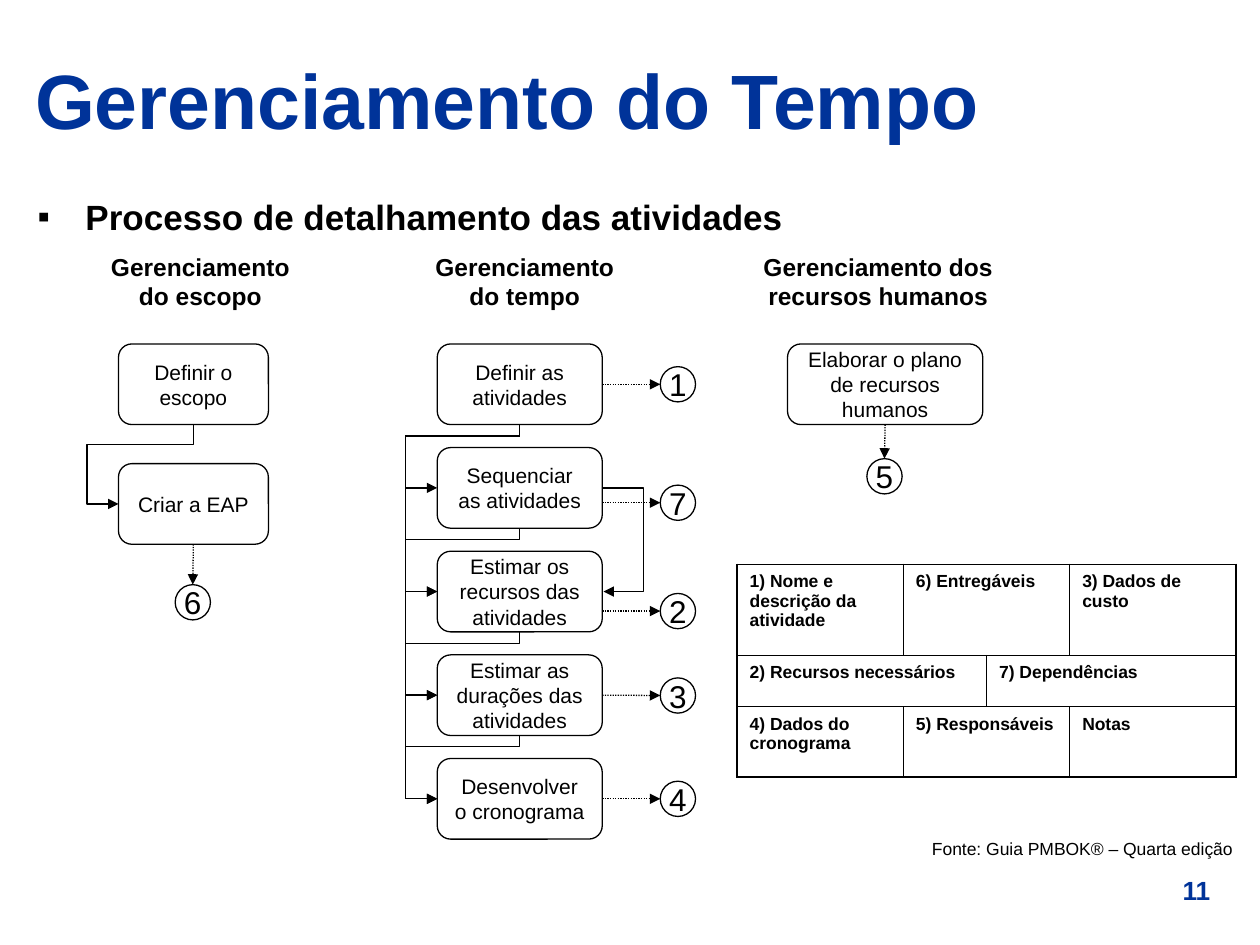
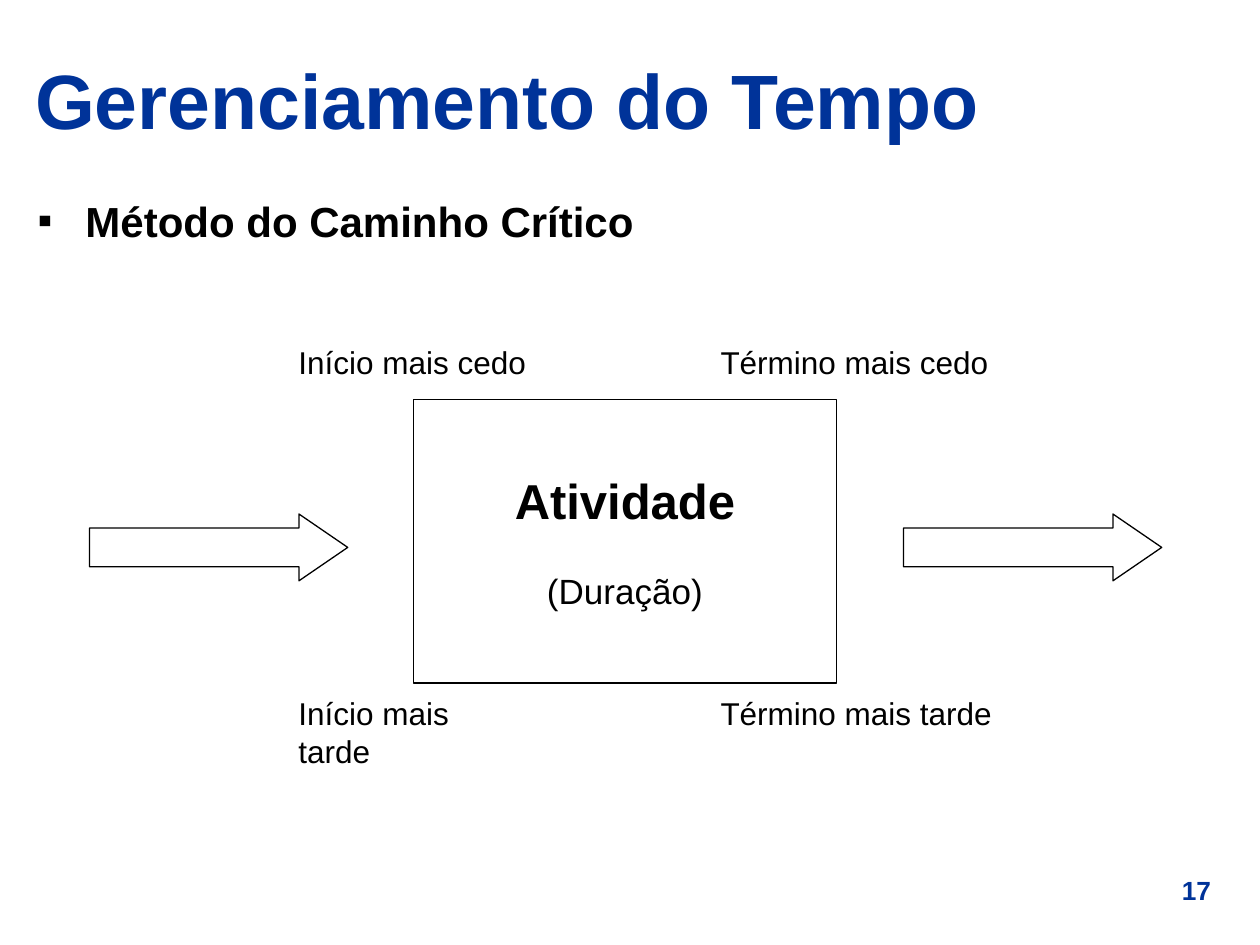
"""Build two slides on project time management."""
from lxml import etree
from pptx import Presentation
from pptx.dml.color import RGBColor
from pptx.enum import dml, shapes, text as t
from pptx.oxml import ns
from pptx.util import Inches, Pt

BLUE = RGBColor(0x00, 0x33, 0x99)
BLACK = RGBColor(0x00, 0x00, 0x00)
WHITE = RGBColor(0xFF, 0xFF, 0xFF)
FONT = "Arial"
LEFT, CENTER, RIGHT = t.PP_ALIGN.LEFT, t.PP_ALIGN.CENTER, t.PP_ALIGN.RIGHT
TOP, MIDDLE = t.MSO_ANCHOR.TOP, t.MSO_ANCHOR.MIDDLE
KIND = shapes.MSO_SHAPE


def write(frame, text, size=12, bold=False, color=BLACK, align=LEFT, anchor=TOP,
          wrap=True, bullet=None, before=0):
    """Add one formatted paragraph to a text frame."""
    frame.word_wrap = wrap
    frame.vertical_anchor = anchor
    paragraph = frame.add_paragraph() if frame.text else frame.paragraphs[0]
    paragraph.alignment = align
    if before:
        paragraph.space_before = Pt(before)
    if bullet:
        properties = paragraph._p.get_or_add_pPr()
        properties.set("marL", str(Inches(0.38)))
        properties.set("indent", str(-Inches(0.38)))
        etree.SubElement(properties, ns.qn("a:buFont"), typeface=FONT)
        etree.SubElement(properties, ns.qn("a:buChar"), char=bullet)
    run = paragraph.add_run()
    run.text = text
    run.font.name, run.font.size, run.font.bold = FONT, Pt(size), bold
    run.font.color.rgb = color


def add_arrow(slide, kind, start, end, dotted=False):
    """Add a thin black connector with a triangle at its end."""
    connector = slide.shapes.add_connector(kind, *map(Inches, start + end))
    connector.line.color.rgb = BLACK
    connector.line.width = Pt(0.75)
    if dotted:
        connector.line.dash_style = dml.MSO_LINE.ROUND_DOT
    etree.SubElement(connector.line._get_or_add_ln(), ns.qn("a:tailEnd"), type="triangle")
    etree.SubElement(connector._element.spPr, ns.qn("a:effectLst"))
    return connector


presentation = Presentation()
presentation.slide_width, presentation.slide_height = Inches(10), Inches(7.5)

slides = []
for topic, topic_size, number in [("Processo de detalhamento das atividades", 20, "11"),
                                  ("Método do Caminho Crítico", 24, "17")]:
    slide = presentation.slides.add_slide(presentation.slide_layouts[6])
    slides.append(slide)
    for place, text, style in [
        ((9.1, 6.89, 0.79, 0.35), number,
         dict(size=15, bold=True, color=BLUE, align=CENTER)),
        ((0.18, 0.28, 9.62, 1.01), "Gerenciamento do Tempo",
         dict(size=44, bold=True, color=BLUE, anchor=MIDDLE)),
        ((0.2, 1.5, 9.52, 0.62), topic, dict(size=topic_size, bold=True, bullet="▪")),
    ]:
        box = slide.shapes.add_textbox(*map(Inches, place))
        write(box.text_frame, text, **style)
process_slide, path_slide = slides

labels = [
    (process_slide, (7.28, 6.6, 2.6, 0.27), "Fonte: Guia PMBOK® – Quarta edição",
     dict(size=10, align=RIGHT)),
]
for left, width, text in [(0.77, 1.64, "Gerenciamento do escopo"),
                          (3.31, 1.71, "Gerenciamento do tempo"),
                          (5.8, 2.34, "Gerenciamento dos recursos humanos")]:
    labels.append((process_slide, (left, 1.95, width, 0.57), text,
                   dict(size=14, bold=True, align=CENTER)))
for left, width, moment in [(2.27, 2.03, "Início"), (5.62, 2.35, "Término")]:
    for top, limit in [(2.67, "cedo"), (5.46, "tarde")]:
        labels.append((path_slide, (left, top, width, 0.4), f"{moment} mais {limit}",
                       dict(size=18, wrap=False)))
for slide, place, text, style in labels:
    box = slide.shapes.add_textbox(*map(Inches, place))
    write(box.text_frame, text, **style)

BOX_TOP, BOX_HEIGHT, BOX_PITCH = 2.73, 0.64, 0.8225
TIME_LEFT, TIME_WIDTH = 3.47, 1.31
TIME_RIGHT = TIME_LEFT + TIME_WIDTH
steps = [
    (0.94, BOX_TOP, 1.19, "Definir o escopo"),
    (0.94, 3.68, 1.19, "Criar a EAP"),
    (6.25, BOX_TOP, 1.55, "Elaborar o plano de recursos humanos"),
]
for row, text in enumerate(["Definir as atividades", "Sequenciar as atividades",
                            "Estimar os recursos das atividades",
                            "Estimar as durações das atividades",
                            "Desenvolver o cronograma"]):
    steps.append((TIME_LEFT, BOX_TOP + row * BOX_PITCH, TIME_WIDTH, text))

outlined = []
boxes = []
for left, top, width, text in steps:
    box = process_slide.shapes.add_shape(
        KIND.ROUNDED_RECTANGLE, *map(Inches, (left, top, width, BOX_HEIGHT)))
    write(box.text_frame, text, align=CENTER, anchor=MIDDLE)
    boxes.append(box)
outlined += boxes
scope_box, wbs_box, staff_box, *time_boxes = boxes

CIRCLE = 0.28
NUMBER_X = 5.38
for number, x, y, source, side in [
    ("1", NUMBER_X, 3.05, time_boxes[0], 3),
    ("7", NUMBER_X, 3.99, None, None),
    ("2", NUMBER_X, 4.85, None, None),
    ("3", NUMBER_X, 5.52, time_boxes[3], 3),
    ("4", NUMBER_X, 6.34, time_boxes[4], 3),
    ("5", 7.02, 3.78, staff_box, 2),
    ("6", 1.53, 4.78, wbs_box, 2),
]:
    circle = process_slide.shapes.add_shape(
        KIND.OVAL, *map(Inches, (x - CIRCLE / 2, y - CIRCLE / 2, CIRCLE, CIRCLE)))
    write(circle.text_frame, number, size=18, align=CENTER, anchor=MIDDLE, wrap=False)
    outlined.append(circle)
    end = (x, y - CIRCLE / 2) if side == 2 else (x - CIRCLE / 2, y)
    arrow = add_arrow(process_slide, shapes.MSO_CONNECTOR.STRAIGHT, (TIME_RIGHT, y), end, dotted=True)
    if source:
        arrow.begin_connect(source, side)

OVERSHOOT = Inches(0.25)
links = [(scope_box, wbs_box, 0.16)]
links += [(time_boxes[0], target, 0.09) for target in time_boxes[1:]]
links += [(time_boxes[row], time_boxes[row + 1], 0.09) for row in (1, 2, 3)]
elbows = []
for source, target, drop in links:
    start_x, start_y = source.left + source.width // 2, source.top + source.height
    end_x, end_y = target.left, target.top + target.height // 2
    across, down = start_x - end_x, end_y - start_y
    frame = ((start_x + end_x - down) // 2, (start_y + end_y - across) // 2, down, across)
    bends = (Inches(drop) / down, (across + OVERSHOOT) / across)
    elbows.append((source, 2, target, 1, frame, 90, "bentConnector4", bends))
sequence, resources = time_boxes[1:3]
frame = (Inches(TIME_RIGHT), sequence.top + sequence.height // 2,
         Inches(0.01), resources.top - sequence.top)
elbows.append((sequence, 3, resources, 3, frame, 0, "bentConnector3", (33,)))

for source, source_side, target, target_side, frame, angle, preset, bends in elbows:
    arrow = add_arrow(process_slide, shapes.MSO_CONNECTOR.ELBOW, (0, 0), (1, 1))
    arrow.begin_connect(source, source_side)
    arrow.end_connect(target, target_side)
    transform = arrow._element.spPr.find(ns.qn("a:xfrm"))
    for flip in ("flipH", "flipV"):
        transform.attrib.pop(flip, None)
    transform.set("rot", str(angle * 60000))
    arrow.left, arrow.top, arrow.width, arrow.height = frame
    geometry = arrow._element.spPr.find(ns.qn("a:prstGeom"))
    geometry.set("prst", preset)
    guides = geometry.find(ns.qn("a:avLst"))
    for index, bend in enumerate(bends, 1):
        etree.SubElement(guides, ns.qn("a:gd"), name=f"adj{index}",
                         fmla=f"val {round(bend * 100000)}")

column_widths, row_heights = [1.32, 0.66, 0.66, 1.32], [0.72, 0.41, 0.56]
table = process_slide.shapes.add_table(
    3, 4, *map(Inches, (5.85, 4.48, sum(column_widths), sum(row_heights)))).table
table.first_row = table.horz_banding = False
for column, width in zip(table.columns, column_widths):
    column.width = Inches(width)
for row, height in zip(table.rows, row_heights):
    row.height = Inches(height)
for row, first, last, text in [
    (0, 0, 0, "1) Nome e descrição da atividade"),
    (0, 1, 2, "6) Entregáveis"),
    (0, 3, 3, "3) Dados de custo"),
    (1, 0, 1, "2) Recursos necessários"),
    (1, 2, 3, "7) Dependências"),
    (2, 0, 0, "4) Dados do cronograma"),
    (2, 1, 2, "5) Responsáveis"),
    (2, 3, 3, "Notas"),
]:
    cell = table.cell(row, first)
    if last > first:
        cell.merge(table.cell(row, last))
    write(cell.text_frame, text, size=10, bold=True)
    cell.margin_top = Inches(0.06)
    properties = cell._tc.get_or_add_tcPr()
    for side, outer in [("L", first == 0), ("R", last == 3), ("T", row == 0), ("B", row == 2)]:
        border = etree.SubElement(properties, ns.qn(f"a:ln{side}"),
                                  w=str(Pt(1.08 if outer else 0.45)))
        fill = etree.SubElement(border, ns.qn("a:solidFill"))
        etree.SubElement(fill, ns.qn("a:srgbClr"), val=str(BLACK))
    cell.fill.background()

activity = path_slide.shapes.add_shape(
    KIND.RECTANGLE, *map(Inches, (3.28, 3.17, 3.36, 2.25)))
centered = dict(align=CENTER, anchor=MIDDLE, wrap=False)
write(activity.text_frame, "Atividade", size=28, bold=True, **centered)
write(activity.text_frame, "(Duração)", size=20, before=23, **centered)
outlined.append(activity)
for left in (0.71, 7.17):
    flow_arrow = path_slide.shapes.add_shape(
        KIND.RIGHT_ARROW, *map(Inches, (left, 4.08, 2.05, 0.53)))
    flow_arrow.adjustments[0], flow_arrow.adjustments[1] = 0.58, 0.73
    outlined.append(flow_arrow)

for shape in outlined:
    shape.shadow.inherit = False
    shape.fill.solid()
    shape.fill.fore_color.rgb = WHITE
    shape.line.color.rgb = BLACK
    shape.line.width = Pt(0.75)

presentation.save("out.pptx")
